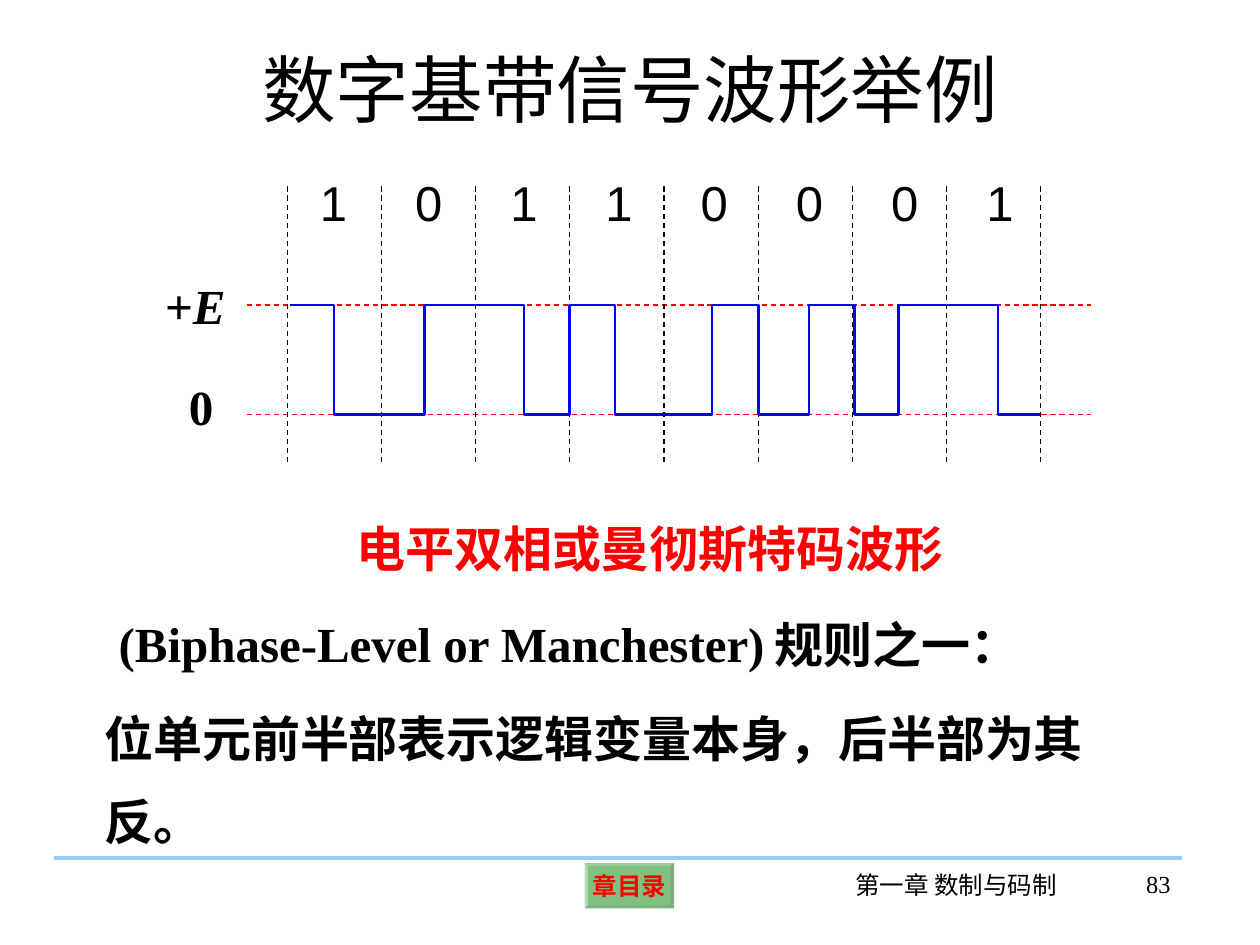
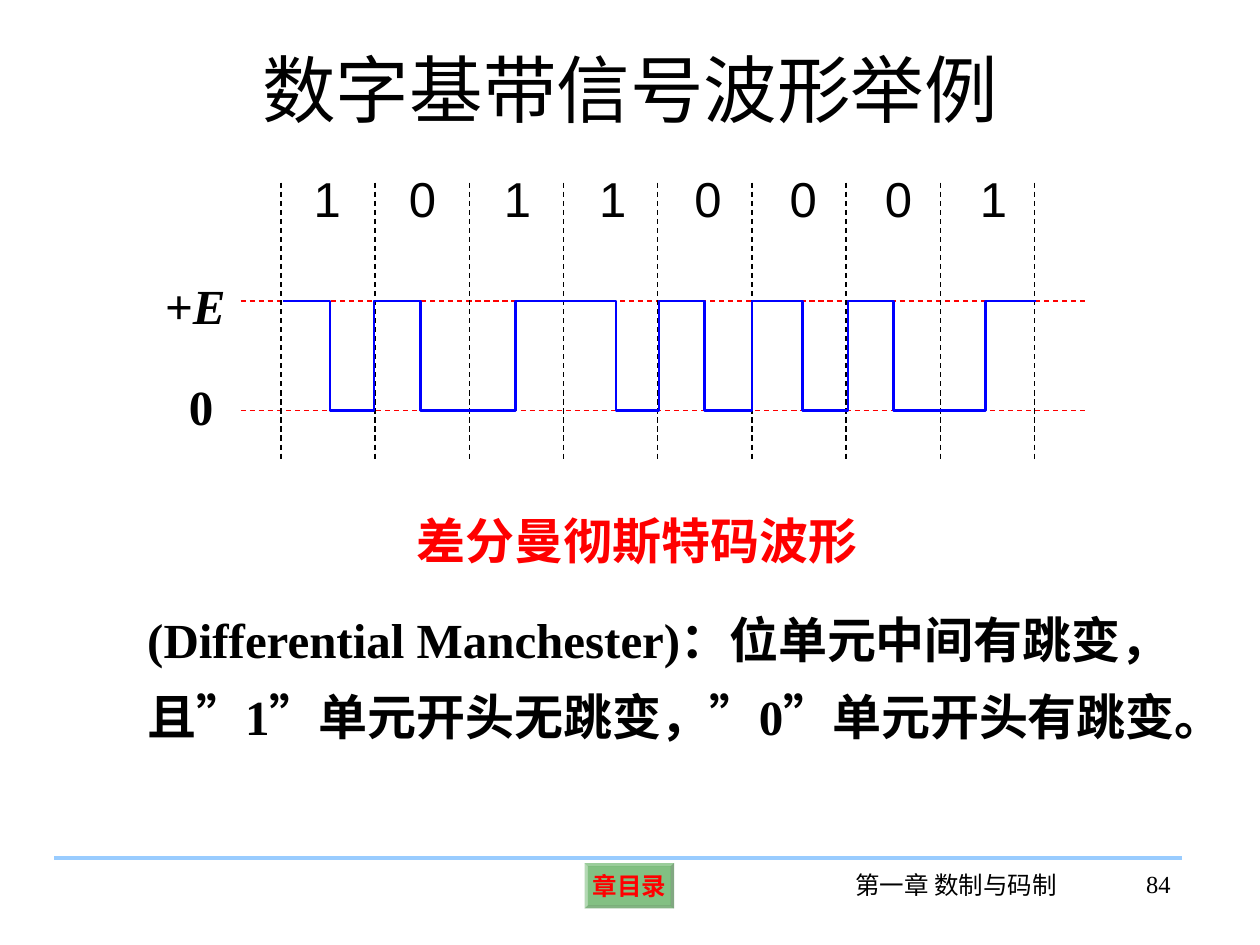
import pptx
import pptx.util
import pptx.dml.color
import pptx.enum.dml
import pptx.enum.shapes
import pptx.enum.text
import pptx.oxml
import pptx.oxml.ns

Inches, Pt = pptx.util.Inches, pptx.util.Pt
ALIGN = pptx.enum.text.PP_ALIGN
ANCHOR = pptx.enum.text.MSO_ANCHOR

COLORS = {
    "text": "000000",
    "accent": "FF0000",
    "wave": "0000FF",
    "rule": "99CCFF",
    "button": "008000",
}
SERIF, SANS = "Times New Roman", "Arial"
BITS = "10110001"
BIT_WIDTH = 5.98 / len(BITS)
BIT_TAB = 54.4  # points between neighbouring digits


def rgb(name):
    return pptx.dml.color.RGBColor.from_string(COLORS[name])


def sub_element(parent, tag, **attrs):
    el = parent.makeelement(pptx.oxml.ns.qn(tag), attrs)
    parent.append(el)
    return el


def add_run(p, text, size, color="text", font=SERIF, bold=False, italic=False):
    r = p.add_run()
    r.text = text
    r.font.size = Pt(size)
    r.font.name = font
    r.font.bold = bold
    r.font.italic = italic
    r.font.color.rgb = rgb(color)


def add_text(s, box, text, size=28, align=ALIGN.LEFT, wrap=False, spacing=None, **style):
    """Add a one-paragraph text box and return its paragraph."""
    tf = s.shapes.add_textbox(*map(Inches, box)).text_frame
    tf.word_wrap = wrap
    p = tf.paragraphs[0]
    p.alignment = align
    if spacing:
        p.line_spacing = spacing
    add_run(p, text, size, **style)
    return p


def add_line(s, x1, y1, x2, y2, color, width=0.75, dashed=True):
    line = s.shapes.add_connector(
        pptx.enum.shapes.MSO_CONNECTOR.STRAIGHT, *map(Inches, (x1, y1, x2, y2)))
    line.line.color.rgb = rgb(color)
    line.line.width = Pt(width)
    if dashed:
        line.line.dash_style = pptx.enum.dml.MSO_LINE.DASH
    sub_element(line._element.spPr, "a:effectLst")


def add_button(s):
    sp = s.shapes.add_shape(
        pptx.enum.shapes.MSO_SHAPE.BEVEL, *map(Inches, (4.64, 6.85, 0.71, 0.36)))
    sp.adjustments[0] = 0.07
    sp.shadow.inherit = False
    sp.line.fill.background()
    sp.fill.solid()
    sp.fill.fore_color.rgb = rgb("button")
    color = sp._element.spPr.find(".//" + pptx.oxml.ns.qn("a:srgbClr"))
    sub_element(color, "a:alpha", val="49000")
    tf = sp.text_frame
    tf.word_wrap = False
    tf.vertical_anchor = ANCHOR.MIDDLE
    tf.margin_left = tf.margin_right = tf.margin_top = tf.margin_bottom = Inches(0.04)
    p = tf.paragraphs[0]
    p.alignment = ALIGN.CENTER
    add_run(p, "章目录", 14, color="accent", bold=True)


def add_wave(s, edges, high, low):
    """Draw a square wave that starts high and flips at each inner edge."""
    levels = [(high, low)[i % 2] for i in range(len(edges) - 1)]
    points = [(Inches(x), Inches(y))
              for x1, x2, y in zip(edges, edges[1:], levels) for x in (x1, x2)]
    builder = s.shapes.build_freeform(*points[0])
    builder.add_line_segments(points[1:], close=False)
    sp = builder.convert_to_shape()
    sp.shadow.inherit = False
    sp.fill.background()
    sp.line.color.rgb = rgb("wave")
    sp.line.width = Pt(1.5)


def add_bits(s, left, top):
    p = add_text(s, (left + 0.16, top - 0.16, 6.38, 0.57), "\t".join(BITS),
                 wrap=True, font=SANS)
    tabs = sub_element(p._p.get_or_add_pPr(), "a:tabLst")
    for i in range(1, len(BITS)):
        sub_element(tabs, "a:tab", pos=str(Pt(BIT_TAB * i)), algn="l")


def add_diagram(s, left, top, edges):
    high, low = top + 0.94, top + 1.81
    add_bits(s, left, top)
    # Level lines and bit boundaries
    for y in (high, low):
        add_line(s, left - 0.32, y, left + 6.38, y, "accent")
    for i in range(len(BITS) + 1):
        x = left + i * BIT_WIDTH
        add_line(s, x, top, x, top + 2.2, "text")
    add_wave(s, edges, high, low)
    # Level labels
    p = add_text(s, (1.21, 2.14, 0.68, 0.57), "+", align=ALIGN.CENTER, bold=True)
    add_run(p, "E", 28, bold=True, italic=True)
    add_text(s, (1.4, 2.94, 0.39, 0.57), "0", align=ALIGN.CENTER, bold=True)


def add_waveform_slide(prs, number):
    """Add a slide with the shared title and footer."""
    s = prs.slides.add_slide(prs.slide_layouts[6])
    add_button(s)
    add_line(s, 0.43, 6.81, 9.38, 6.81, "rule", 2.25, dashed=False)
    add_text(s, (6.66, 6.86, 1.86, 0.5), "第一章 数制与码制", 14, ALIGN.CENTER, wrap=True)
    add_text(s, (8.53, 6.85, 0.86, 0.5), str(number), 14, ALIGN.RIGHT, wrap=True)
    add_text(s, (0.5, 0.3, 9, 1.25), "数字基带信号波形举例", 42, ALIGN.CENTER, wrap=True)
    return s


def add_caption(s, box, text):
    add_text(s, box, text, wrap=True, color="accent", font=SANS, bold=True)


def main():
    prs = pptx.Presentation()
    prs.slide_width, prs.slide_height = Inches(10), Inches(7.5)

    # Manchester code
    s = add_waveform_slide(prs, 83)
    add_diagram(s, 2.28, 1.48, [2.3, 2.65, 3.37, 4.16, 4.52, 4.88, 5.65,
                                6.02, 6.42, 6.78, 7.13, 7.92, 8.25])
    add_caption(s, (2.73, 4.07, 5, 0.57), "电平双相或曼彻斯特码波形")
    add_text(s, (0.84, 4.82, 5.33, 0.57), "(Biphase-Level or Manchester)",
             align=ALIGN.CENTER, bold=True)
    add_text(s, (6.05, 4.83, 2.14, 0.57), "规则之一：", align=ALIGN.CENTER, bold=True)
    add_text(s, (0.73, 5.39, 8.2, 0.76), "位单元前半部表示逻辑变量本身，后半部为其反。",
             wrap=True, spacing=1.4, bold=True)

    # Differential Manchester code
    s = add_waveform_slide(prs, 84)
    add_diagram(s, 2.23, 1.45, [2.25, 2.62, 2.97, 3.34, 4.09, 4.89, 5.23,
                                5.59, 5.97, 6.37, 6.73, 7.09, 7.82, 8.22])
    add_caption(s, (3.21, 4, 3.85, 0.57), "差分曼彻斯特码波形")
    add_text(s, (1.07, 4.65, 8.58, 1.32),
             "(Differential Manchester)：位单元中间有跳变，"
             "且”1”单元开头无跳变，”0”单元开头有跳变。",
             wrap=True, spacing=1.3, bold=True)

    prs.save("out.pptx")


if __name__ == "__main__":
    main()
